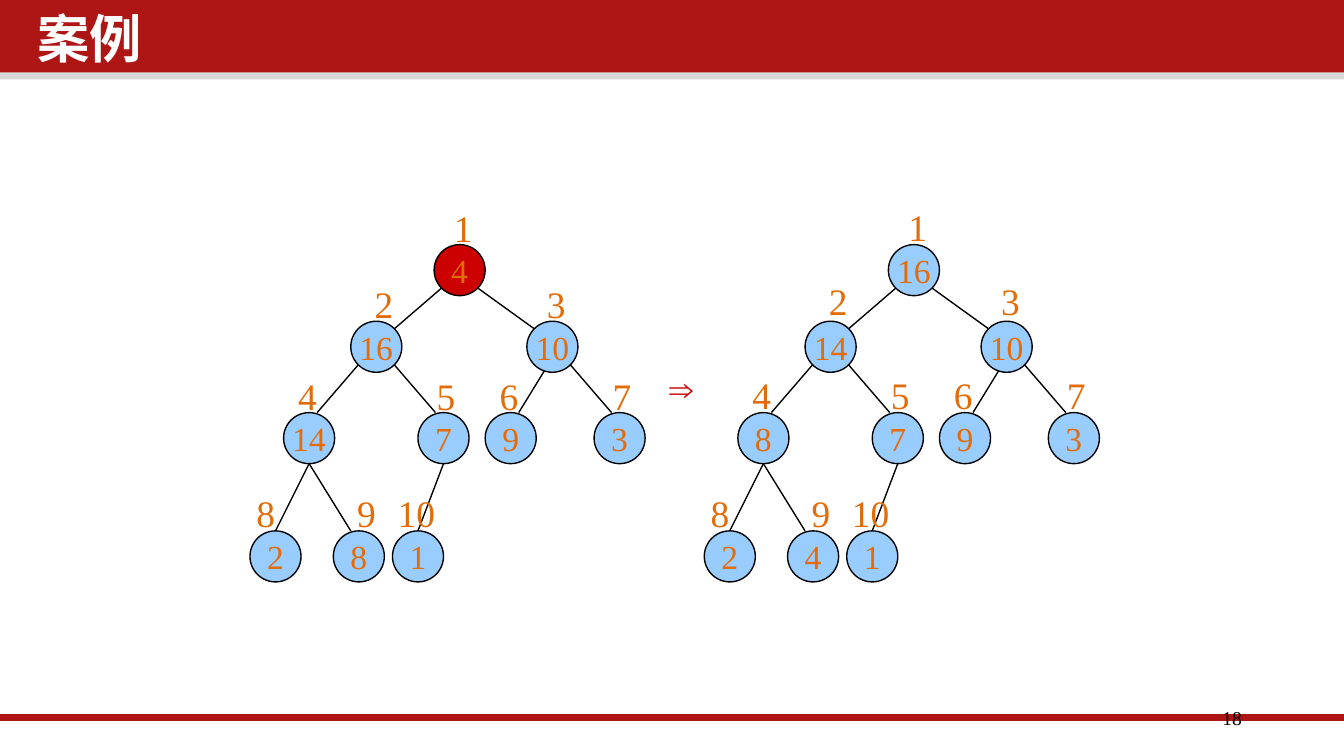
from typing import NamedTuple

from pptx import Presentation
from pptx.dml.color import RGBColor
from pptx.enum import shapes, text
from pptx.oxml import ns
from pptx.util import Inches, Pt
from lxml import etree

RED = RGBColor(0xAE, 0x16, 0x16)
ROOT_RED = RGBColor(0xCD, 0x00, 0x00)
GREY = RGBColor(0xD9, 0xD9, 0xD9)
BLUE = RGBColor(0x99, 0xCC, 0xFF)
ORANGE = RGBColor(0xE3, 0x6C, 0x09)
BLACK = RGBColor(0x00, 0x00, 0x00)
WHITE = RGBColor(0xFF, 0xFF, 0xFF)
SERIF = "Times New Roman"
SANS = "Noto Sans CJK SC"
DIAMETER = 0.38


class Node(NamedTuple):
    left: float
    top: float
    label_left: float
    label_top: float


class Edge(NamedTuple):
    parent: int
    child: int
    start: tuple[float, float]
    end: tuple[float, float]


class Heap(NamedTuple):
    left: float
    label_rises: tuple[float, ...]
    values: tuple[int, ...]
    root_fill: RGBColor


NODES = [
    Node(3.23, 1.82, 3.28, 1.48),
    Node(2.61, 2.39, 2.69, 2.04),
    Node(3.92, 2.39, 3.97, 2.04),
    Node(2.11, 3.07, 2.12, 2.73),
    Node(3.11, 3.07, 3.15, 2.73),
    Node(3.61, 3.07, 3.62, 2.73),
    Node(4.42, 3.07, 4.46, 2.73),
    Node(1.86, 3.95, 1.81, 3.6),
    Node(2.48, 3.95, 2.56, 3.6),
    Node(2.92, 3.95, 2.86, 3.6),
]

LOWER_LEFT, LOWER_RIGHT = (0.06, 0.32), (0.32, 0.32)
BOTTOM, TOP = (0.19, 0.38), (0.19, 0)
TOP_LEFT, TOP_RIGHT = (0.13, 0), (0.25, 0)
EDGES = [
    Edge(1, 2, LOWER_LEFT, (0.32, 0.06)),
    Edge(1, 3, LOWER_RIGHT, (0.06, 0.06)),
    Edge(2, 4, LOWER_LEFT, TOP_RIGHT),
    Edge(2, 5, LOWER_RIGHT, TOP_LEFT),
    Edge(3, 6, (0.13, 0.37), TOP_RIGHT),
    Edge(3, 7, LOWER_RIGHT, TOP_LEFT),
    Edge(4, 8, BOTTOM, TOP),
    Edge(4, 9, BOTTOM, TOP_LEFT),
    Edge(5, 10, BOTTOM, TOP),
]

HEAPS = [
    Heap(0, (0, 0, 0, 0), (4, 16, 10, 14, 7, 9, 3, 2, 8, 1), ROOT_RED),
    Heap(3.38, (0.01, 0.02, 0.01, 0), (16, 14, 10, 8, 7, 9, 3, 2, 4, 1), BLUE),
]


def style(para, size: float, color: RGBColor, name: str = SERIF) -> None:
    para.font.size = Pt(size)
    para.font.name = name
    para.font.color.rgb = color


def add_line(canvas, start, end, color: RGBColor, width: float) -> None:
    line = canvas.add_connector(
        shapes.MSO_CONNECTOR.STRAIGHT, *map(Inches, (*start, *end)))
    line.line.color.rgb = color
    line.line.width = Pt(width)
    etree.SubElement(line._element.spPr, ns.qn("a:effectLst"))


def add_text(canvas, words: str, place, size: float, color: RGBColor):
    box = canvas.add_textbox(*map(Inches, place))
    box.text_frame.word_wrap = False
    para = box.text_frame.paragraphs[0]
    para.text = words
    style(para, size, color)
    return box


def add_band(canvas, top: float, height: float, color: RGBColor) -> None:
    band = canvas.add_shape(shapes.MSO_SHAPE.RECTANGLE,
                            0, Inches(top), Inches(10), Inches(height))
    band.shadow.inherit = False
    band.fill.solid()
    band.fill.fore_color.rgb = color
    band.line.fill.background()


def add_node(canvas, left: float, top: float, value: int, fill: RGBColor) -> None:
    circle = canvas.add_shape(shapes.MSO_SHAPE.OVAL, Inches(left), Inches(top),
                              Inches(DIAMETER), Inches(DIAMETER))
    circle.shadow.inherit = False
    circle.fill.solid()
    circle.fill.fore_color.rgb = fill
    circle.line.color.rgb = BLACK
    circle.line.width = Pt(0.75)
    frame = circle.text_frame
    frame.word_wrap = False
    frame.vertical_anchor = text.MSO_ANCHOR.MIDDLE
    para = frame.paragraphs[0]
    para.text = str(value)
    para.alignment = text.PP_ALIGN.CENTER
    style(para, 18, ORANGE)


def add_heap(page, heap: Heap) -> None:
    canvas = page.shapes.add_group_shape().shapes
    for edge in EDGES:
        parent, child = NODES[edge.parent - 1], NODES[edge.child - 1]
        start = (heap.left + parent.left + edge.start[0], parent.top + edge.start[1])
        end = (heap.left + child.left + edge.end[0], child.top + edge.end[1])
        add_line(canvas, start, end, BLACK, 0.75)
    for index, (node, value) in enumerate(zip(NODES, heap.values), 1):
        fill = heap.root_fill if index == 1 else BLUE
        add_node(canvas, heap.left + node.left, node.top, value, fill)
        level = index.bit_length() - 1
        width = 0.34 if index < 10 else 0.48
        place = (heap.left + node.label_left,
                 node.label_top - heap.label_rises[level], width, 0.44)
        add_text(canvas, str(index), place, 20, ORANGE)


def add_title(page, words: str) -> None:
    title = page.shapes.title
    title.element.getparent().append(title.element)
    title.left, title.top, title.width, title.height = map(
        Inches, (0.21, 0.06, 7.64, 0.59))
    frame = title.text_frame
    frame.margin_left = frame.margin_right = Inches(0.07)
    frame.margin_top = frame.margin_bottom = Inches(0.04)
    frame.vertical_anchor = text.MSO_ANCHOR.TOP
    para = frame.paragraphs[0]
    para.text = words
    para.alignment = text.PP_ALIGN.LEFT
    para.line_spacing = 0.9
    style(para, 28, WHITE, SANS)
    para.font.bold = True
    east_asian = etree.SubElement(para.font._element, ns.qn("a:ea"))
    east_asian.set("typeface", SANS)


def main() -> None:
    deck = Presentation()
    deck.slide_width = Inches(10)
    deck.slide_height = deck.slide_width * 9 // 16
    page = deck.slides.add_slide(deck.slide_layouts[5])
    add_band(page.shapes, 0.5, 0.09, GREY)
    add_band(page.shapes, 0, 0.54, RED)
    add_line(page.shapes, (-0.02, 5.34), (10, 5.34), RED, 4)
    number = add_text(page.shapes, "18", (7.06, 5.21, 2.25, 0.3), 10.5, BLACK)
    number.text_frame.word_wrap = True
    number.text_frame.margin_left = number.text_frame.margin_right = Inches(0.07)
    number.text_frame.margin_top = number.text_frame.margin_bottom = Inches(0.04)
    number.text_frame.paragraphs[0].alignment = text.PP_ALIGN.RIGHT
    for heap in HEAPS:
        add_heap(page, heap)
    add_text(page.shapes, "⇒", (4.88, 2.69, 0.45, 0.4), 18, ROOT_RED)
    add_title(page, "案例")
    deck.save("out.pptx")


if __name__ == "__main__":
    main()
